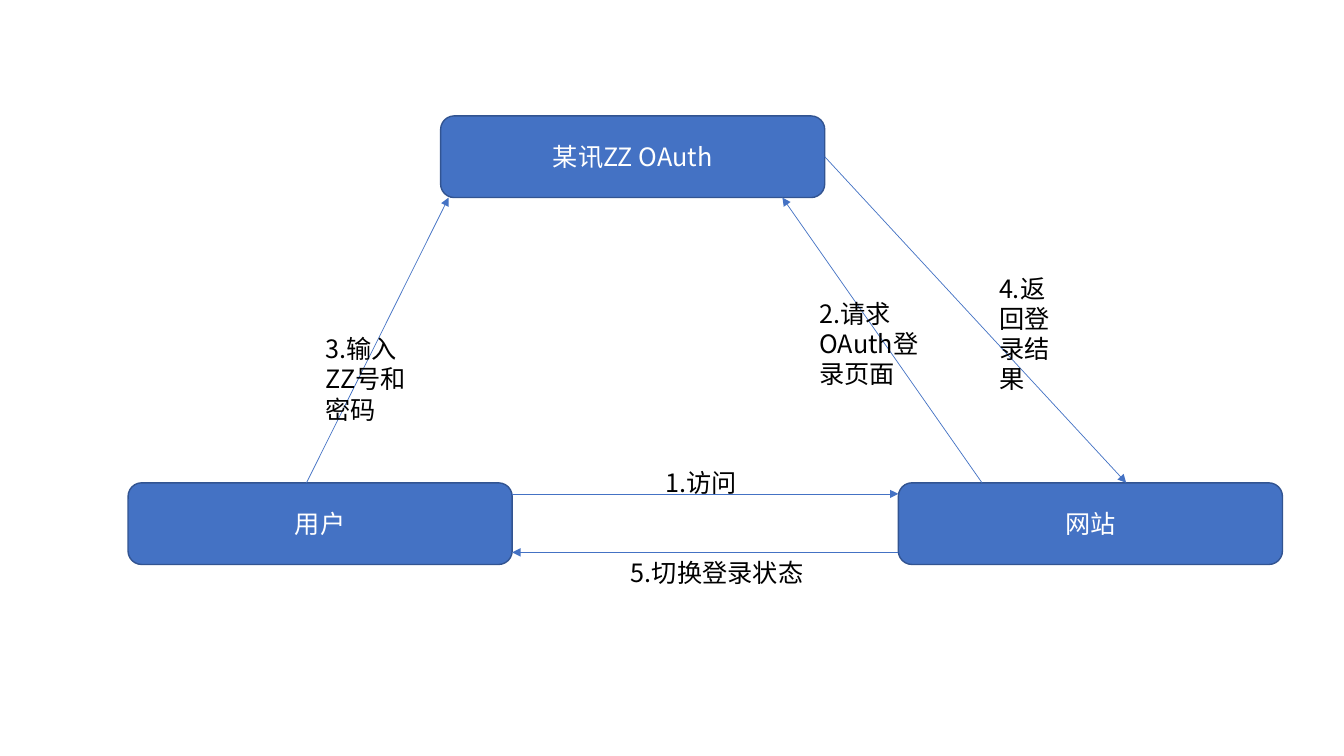
from dataclasses import dataclass

from lxml import etree
from pptx import Presentation
from pptx.dml.color import RGBColor
from pptx.enum.shapes import MSO_CONNECTOR, MSO_SHAPE
from pptx.enum.text import MSO_ANCHOR, MSO_AUTO_SIZE, PP_ALIGN
from pptx.oxml.ns import qn
from pptx.util import Inches, Pt

ROUNDED = MSO_SHAPE.ROUNDED_RECTANGLE
STRAIGHT = MSO_CONNECTOR.STRAIGHT
MIDDLE = MSO_ANCHOR.MIDDLE
GROW = MSO_AUTO_SIZE.SHAPE_TO_FIT_TEXT
CENTER = PP_ALIGN.CENTER
RIGHT_SIDE = 3


@dataclass(frozen=True)
class Theme:
    font: str = "Noto Sans CJK SC"
    size: Pt = Pt(18)
    blue: RGBColor = RGBColor(0x44, 0x72, 0xC4)
    border: RGBColor = RGBColor(0x32, 0x54, 0x91)
    light: RGBColor = RGBColor(0xFF, 0xFF, 0xFF)
    dark: RGBColor = RGBColor(0, 0, 0)
    border_width: Pt = Pt(1)
    arrow_width: Pt = Pt(0.5)


THEME = Theme()
BOX_W, BOX_H = 3.81, 0.81
OAUTH_X, OAUTH_Y = 4.37, 1.15
USER_X, SITE_X, BASE_Y = 1.27, 8.91, 4.79
USER_RIGHT = USER_X + BOX_W
OAUTH_RIGHT, OAUTH_BOTTOM = OAUTH_X + BOX_W, OAUTH_Y + BOX_H
VISIT_Y, SWITCH_Y = 4.9, 5.48

BOXES = {
    "oauth": ("某讯ZZ OAuth", OAUTH_X, OAUTH_Y),
    "site": ("网站", SITE_X, BASE_Y),
    "user": ("用户", USER_X, BASE_Y),
}

STEPS = [
    ("1.访问", (USER_RIGHT, VISIT_Y), (SITE_X, VISIT_Y),
     (6.5, 4.59, 1.42, 0.4), None),
    ("2.请求OAuth登录页面", (9.74, BASE_Y), (7.76, OAUTH_BOTTOM),
     (8.03, 2.91, 1.24, 1.01), None),
    ("3.输入ZZ号和密码", (3.04, BASE_Y), (4.45, OAUTH_BOTTOM),
     (3.13, 3.26, 1.12, 1.01), None),
    ("4.返回登录结果", (OAUTH_RIGHT, OAUTH_Y + BOX_H / 2), (11.17, BASE_Y),
     (9.81, 2.66, 0.79, 1.31), "oauth"),
    ("5.切换登录状态", (SITE_X, SWITCH_Y), (USER_RIGHT, SWITCH_Y),
     (6.16, SWITCH_Y, 2.11, 0.4), None),
]


def add_text(tf, text, color):
    tf.word_wrap = True
    p = tf.paragraphs[0]
    r = p.add_run()
    r.text = text
    r.font.name = THEME.font
    r.font.size = THEME.size
    r.font.color.rgb = color
    ea = etree.SubElement(r.font._element, qn("a:ea"))
    ea.set("typeface", THEME.font)
    return p


def add_box(shapes, text, x, y):
    box = shapes.add_shape(ROUNDED, Inches(x), Inches(y), Inches(BOX_W), Inches(BOX_H))
    box.shadow.inherit = False
    box.fill.solid()
    box.fill.fore_color.rgb = THEME.blue
    box.line.color.rgb = THEME.border
    box.line.width = THEME.border_width
    box.text_frame.vertical_anchor = MIDDLE
    add_text(box.text_frame, text, THEME.light).alignment = CENTER
    return box


def add_arrow(shapes, start, end):
    points = [Inches(v) for v in (*start, *end)]
    arrow = shapes.add_connector(STRAIGHT, *points)
    arrow.line.color.rgb = THEME.blue
    arrow.line.width = THEME.arrow_width
    etree.SubElement(arrow.line._get_or_add_ln(), qn("a:tailEnd")).set("type", "triangle")
    etree.SubElement(arrow._element.spPr, qn("a:effectLst"))
    return arrow


def add_label(shapes, text, frame):
    label = shapes.add_textbox(*[Inches(v) for v in frame])
    add_text(label.text_frame, text, THEME.dark)
    label.text_frame.auto_size = GROW


def main():
    prs = Presentation()
    prs.slide_width, prs.slide_height = Inches(13.33), Inches(7.5)
    s = prs.slides.add_slide(prs.slide_layouts[6])
    boxes = {name: add_box(s.shapes, *box) for name, box in BOXES.items()}
    for text, start, end, frame, source in STEPS:
        step = s.shapes.add_group_shape()
        arrow = add_arrow(step.shapes, start, end)
        if source:
            arrow.begin_connect(boxes[source], RIGHT_SIDE)
        add_label(step.shapes, text, frame)
    prs.save("out.pptx")


if __name__ == "__main__":
    main()
